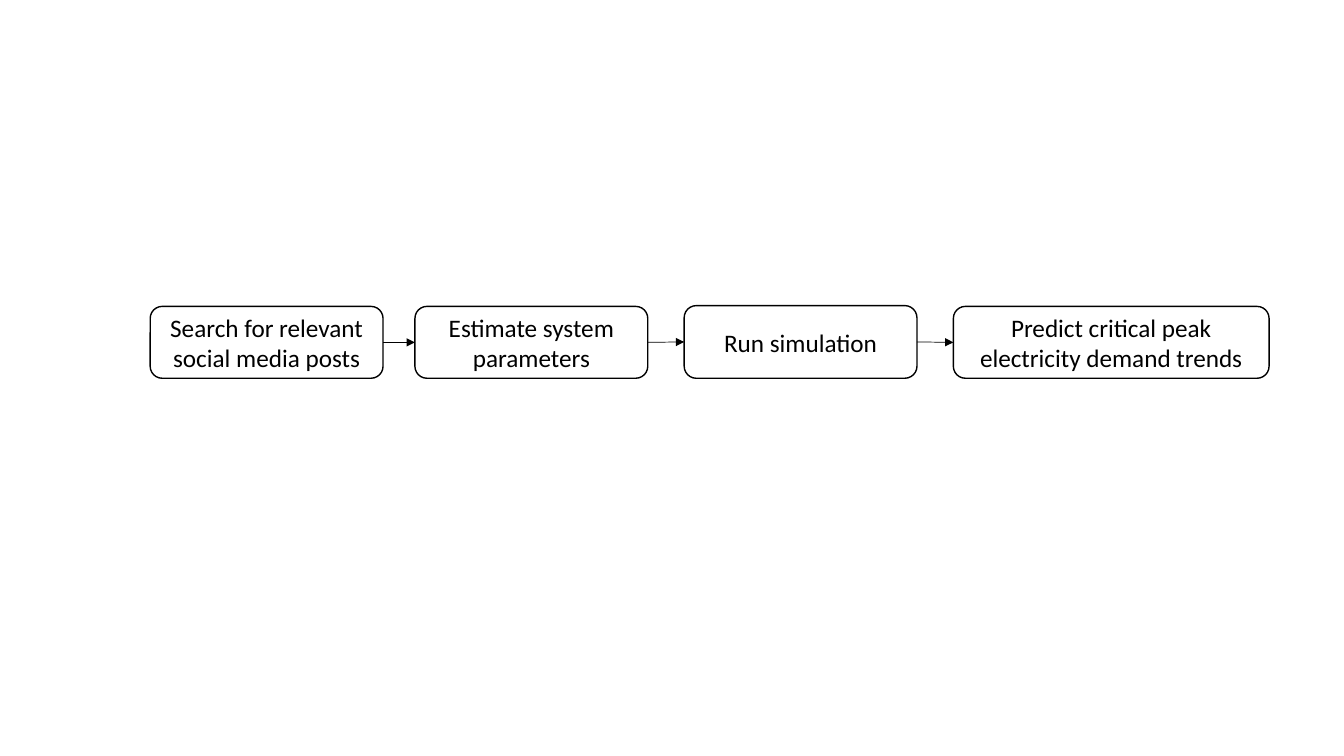
from dataclasses import dataclass
from itertools import pairwise

from lxml.etree import SubElement
from pptx import Presentation
from pptx.dml.color import RGBColor
from pptx.enum.shapes import MSO_CONNECTOR as Connector, MSO_SHAPE as Shape
from pptx.enum.text import MSO_ANCHOR as Anchor, PP_ALIGN as Align
from pptx.oxml.ns import qn
from pptx.util import Pt


@dataclass(frozen=True)
class Theme:
    ink: RGBColor = RGBColor(0, 0, 0)
    paper: RGBColor = RGBColor(255, 255, 255)
    font: str = "Calibri"
    text_size: float = 18
    border: float = 1
    arrow: float = 0.5


class FlowPage:
    def __init__(self, page, theme):
        self.page = page
        self.theme = theme

    def step(self, text, left, top, width, height):
        box = self.page.shapes.add_shape(
            Shape.ROUNDED_RECTANGLE, Pt(left), Pt(top), Pt(width), Pt(height))
        box.shadow.inherit = False
        box.fill.solid()
        box.fill.fore_color.rgb = self.theme.paper
        box.line.color.rgb = self.theme.ink
        box.line.width = Pt(self.theme.border)
        frame = box.text_frame
        frame.word_wrap = True
        frame.vertical_anchor = Anchor.MIDDLE
        frame.text = text
        para = frame.paragraphs[0]
        para.alignment = Align.CENTER
        font = para.runs[0].font
        font.name = self.theme.font
        font.size = Pt(self.theme.text_size)
        font.color.rgb = self.theme.ink
        return box

    def arrow(self, source, target):
        """Join the right side of source to the left side of target."""
        link = self.page.shapes.add_connector(Connector.STRAIGHT, 0, 0, 0, 0)
        link.begin_connect(source, 3)
        link.end_connect(target, 1)
        link.line.color.rgb = self.theme.ink
        link.line.width = Pt(self.theme.arrow)
        SubElement(link.line._get_or_add_ln(), qn("a:tailEnd"), type="triangle")
        SubElement(link._element.spPr, qn("a:effectLst"))


STEPS = [  # text, left, top, width, height
    ("Search for relevant social media posts", 107.3, 218.9, 166.3, 51.3),
    ("Estimate system parameters", 296.4, 218.9, 166.3, 51.3),
    ("Run simulation", 488.7, 218.3, 166.3, 51.9),
    ("Predict critical peak electricity demand trends", 681, 218.9, 225.5, 51.3),
]


def main():
    deck = Presentation()
    deck.slide_width, deck.slide_height = Pt(960), Pt(540)
    blank = deck.slide_layouts[6]
    flow = FlowPage(deck.slides.add_slide(blank), Theme())
    boxes = [flow.step(*step) for step in STEPS]
    for source, target in pairwise(boxes):
        flow.arrow(source, target)
    deck.save("out.pptx")


if __name__ == "__main__":
    main()
